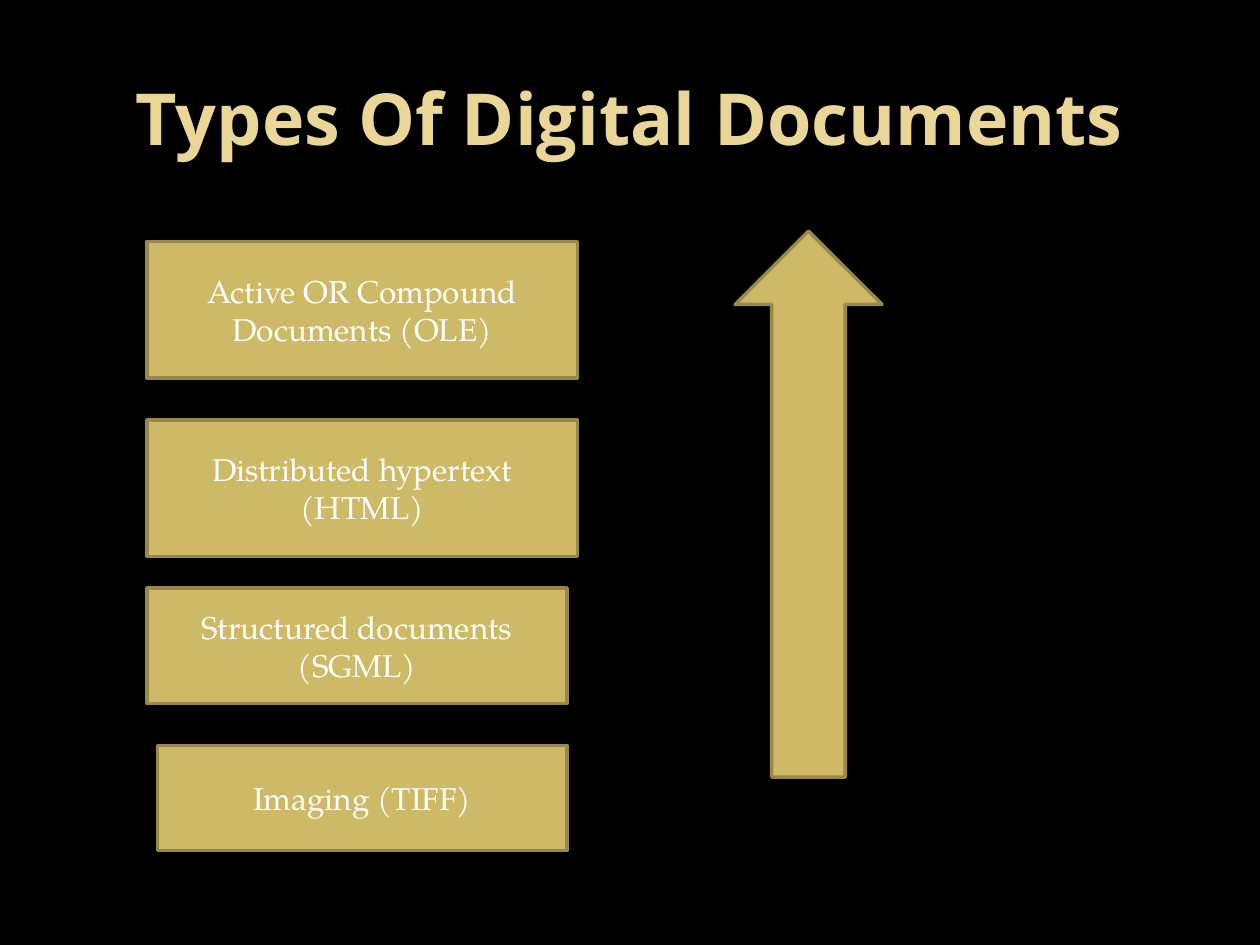
from pptx import Presentation
from pptx.dml.color import RGBColor
from pptx.enum.shapes import MSO_SHAPE
from pptx.enum.text import MSO_ANCHOR, MSO_AUTO_SIZE, PP_ALIGN
from pptx.util import Emu, Pt

EMU_PER_PX = 7620


def px(length):
    return Emu(length * EMU_PER_PX)


def color(value):
    return RGBColor.from_string(value)


class SlideBuilder:
    heading_font = "Open Sans"
    body_font = "TeX Gyre Pagella"
    background = "000000"
    heading_color = "EAD696"
    text_color = "FFFFFF"
    fill_color = "CEB966"
    line_color = "98894B"

    def __init__(self, deck):
        self.slide = deck.slides.add_slide(deck.slide_layouts[5])
        fill = self.slide.background.fill
        fill.solid()
        fill.fore_color.rgb = color(self.background)

    def add_text(self, shape, text, font, size, text_color, bold=False):
        frame = shape.text_frame
        frame.word_wrap = True
        frame.auto_size = MSO_AUTO_SIZE.NONE
        frame.vertical_anchor = MSO_ANCHOR.MIDDLE
        para = frame.paragraphs[0]
        para.alignment = PP_ALIGN.CENTER
        span = para.add_run()
        span.text = text
        span.font.name = font
        span.font.size = Pt(size)
        span.font.bold = bold
        span.font.color.rgb = color(text_color)

    def title(self, text, left, top, width, height):
        title = self.slide.shapes.title
        title.left, title.top = px(left), px(top)
        title.width, title.height = px(width), px(height)
        self.add_text(title, text, self.heading_font, 41, self.heading_color, bold=True)

    def shape(self, kind, left, top, width, height):
        shape = self.slide.shapes.add_shape(
            kind, px(left), px(top), px(width), px(height)
        )
        shape.shadow.inherit = False
        shape.fill.solid()
        shape.fill.fore_color.rgb = color(self.fill_color)
        shape.line.color.rgb = color(self.line_color)
        shape.line.width = Pt(2)
        return shape

    def box(self, text, left, top, width, height):
        box = self.shape(MSO_SHAPE.RECTANGLE, left, top, width, height)
        self.add_text(box, text, self.body_font, 18, self.text_color)

    def up_arrow(self, left, top, width, height):
        self.shape(MSO_SHAPE.UP_ARROW, left, top, width, height)


def main():
    deck = Presentation()
    deck.slide_width, deck.slide_height = px(1200), px(900)

    builder = SlideBuilder(deck)
    builder.title("Types Of Digital Documents", 60, 36, 1080, 150)

    document_types = [
        ("Active OR Compound Documents (OLE)", 140, 230, 410, 130),
        ("Distributed hypertext (HTML)", 140, 400, 410, 130),
        ("Structured documents (SGML)", 140, 560, 400, 110),
        ("Imaging (TIFF)", 150, 710, 390, 100),
    ]
    for document_type in document_types:
        builder.box(*document_type)

    builder.up_arrow(700, 220, 140, 520)
    deck.save("out.pptx")


if __name__ == "__main__":
    main()
